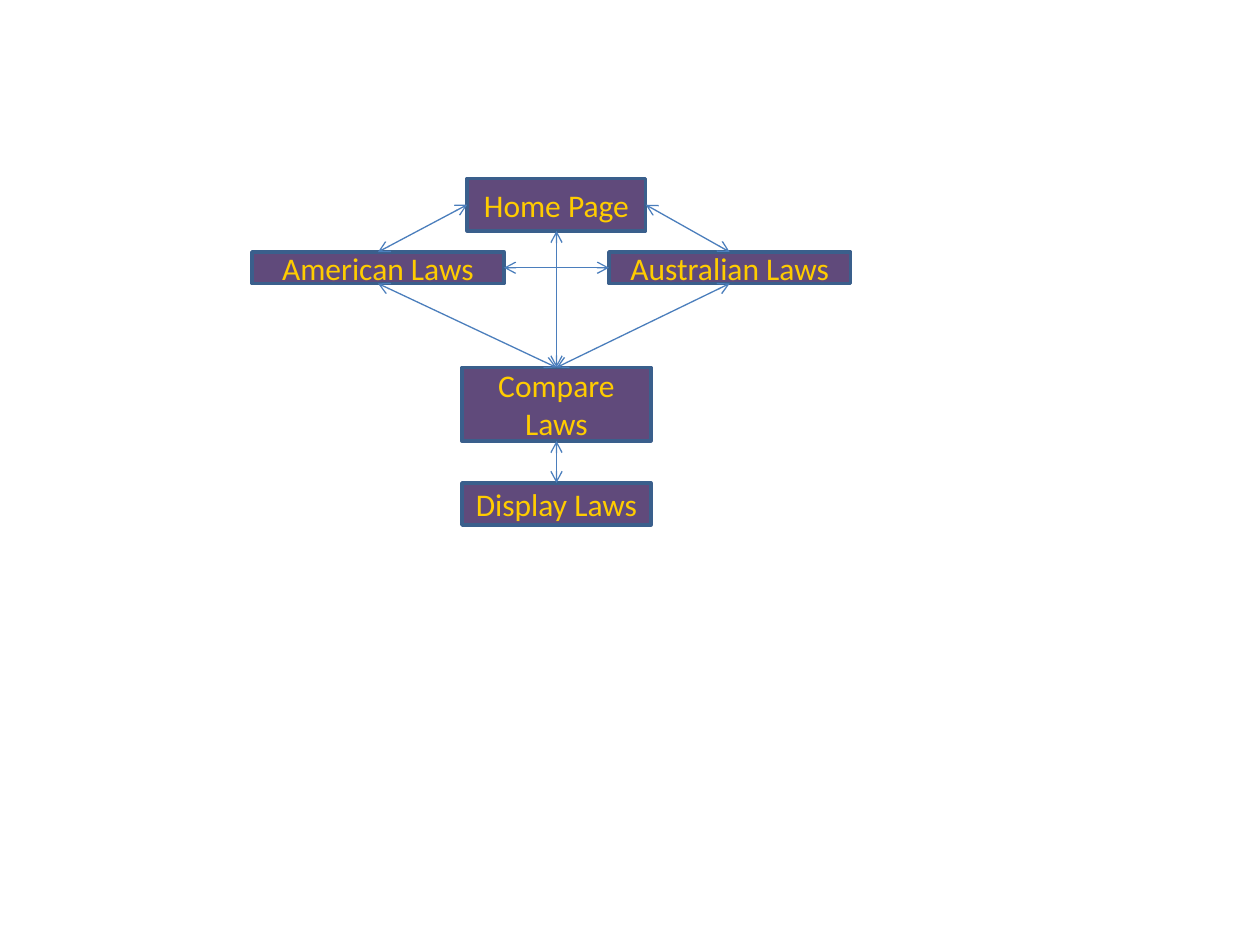
"""Build a site map slide of linked law pages."""
from dataclasses import dataclass

import pptx
import pptx.dml.color
import pptx.enum.shapes
import pptx.enum.text
import pptx.oxml
import pptx.oxml.ns
import pptx.util

COLUMNS, ROWS = 120, 90
TOP, LEFT, BOTTOM, RIGHT = range(4)


@dataclass(frozen=True)
class Theme:
    """Colours, font and sizes of the slide."""
    fill: str = "604A7B"
    border: str = "3A5F8C"
    text: str = "FFCC00"
    arrow: str = "4B7EBC"
    font: str = "Calibri"
    size: float = 18
    border_width: float = 2
    arrow_width: float = 0.75


def color(value):
    """Return a colour object for a hex value."""
    return pptx.dml.color.RGBColor.from_string(value)


def write_text(box, text, *, font, size, ink):
    """Write centred, wrapped text into a box."""
    frame = box.text_frame
    frame.word_wrap = True
    frame.vertical_anchor = pptx.enum.text.MSO_ANCHOR.MIDDLE
    para = frame.paragraphs[0]
    para.alignment = pptx.enum.text.PP_ALIGN.CENTER
    span = para.add_run()
    span.text = text
    span.font.name = font
    span.font.size = pptx.util.Pt(size)
    span.font.color.rgb = color(ink)


class SiteMap:
    """Draws boxes and arrows on a page grid."""

    def __init__(self, deck, theme):
        """Start a blank page with the given theme."""
        self.theme = theme
        self.page = deck.slides.add_slide(deck.slide_layouts[6])
        self.column = deck.slide_width / COLUMNS
        self.row = deck.slide_height / ROWS

    def box(self, text, column, row, columns, rows):
        """Add a labelled box placed in grid units."""
        theme = self.theme
        box = self.page.shapes.add_shape(
            pptx.enum.shapes.MSO_SHAPE.RECTANGLE,
            round(column * self.column), round(row * self.row),
            round(columns * self.column), round(rows * self.row))
        box.shadow.inherit = False
        box.fill.solid()
        box.fill.fore_color.rgb = color(theme.fill)
        box.line.color.rgb = color(theme.border)
        box.line.width = pptx.util.Pt(theme.border_width)
        write_text(box, text, font=theme.font, size=theme.size, ink=theme.text)
        return box

    def arrow(self, start, start_side, end, end_side):
        """Join two boxes with a two-headed arrow."""
        arrow = self.page.shapes.add_connector(
            pptx.enum.shapes.MSO_CONNECTOR.STRAIGHT,
            start.left, start.top, end.left, end.top)
        arrow.begin_connect(start, start_side)
        arrow.end_connect(end, end_side)
        arrow.line.color.rgb = color(self.theme.arrow)
        arrow.line.width = pptx.util.Pt(self.theme.arrow_width)
        outline = arrow.line._get_or_add_ln()
        for tag in ("a:headEnd", "a:tailEnd"):
            tip = pptx.oxml.parse_xml(
                f'<{tag} {pptx.oxml.ns.nsdecls("a")} type="arrow"/>')
            outline.append(tip)
        effects = pptx.oxml.parse_xml(
            f'<a:effectLst {pptx.oxml.ns.nsdecls("a")}/>')
        outline.addnext(effects)


def main():
    """Build and save the deck."""
    deck = pptx.Presentation()
    deck.slide_width = pptx.util.Inches(10)
    deck.slide_height = pptx.util.Inches(7.5)
    site = SiteMap(deck, Theme())

    home = site.box("Home Page", 44.5, 17, 17, 5)
    american = site.box("American Laws", 24, 24, 24, 3)
    australian = site.box("Australian Laws", 58, 24, 23, 3)
    compare = site.box("Compare Laws", 44, 35, 18, 7)
    display = site.box("Display Laws", 44, 46, 18, 4)

    for link in (
        (home, RIGHT, australian, TOP),
        (home, LEFT, american, TOP),
        (home, BOTTOM, compare, TOP),
        (american, RIGHT, australian, LEFT),
        (american, BOTTOM, compare, TOP),
        (australian, BOTTOM, compare, TOP),
        (display, TOP, compare, BOTTOM),
    ):
        site.arrow(*link)

    deck.save("out.pptx")


main()
